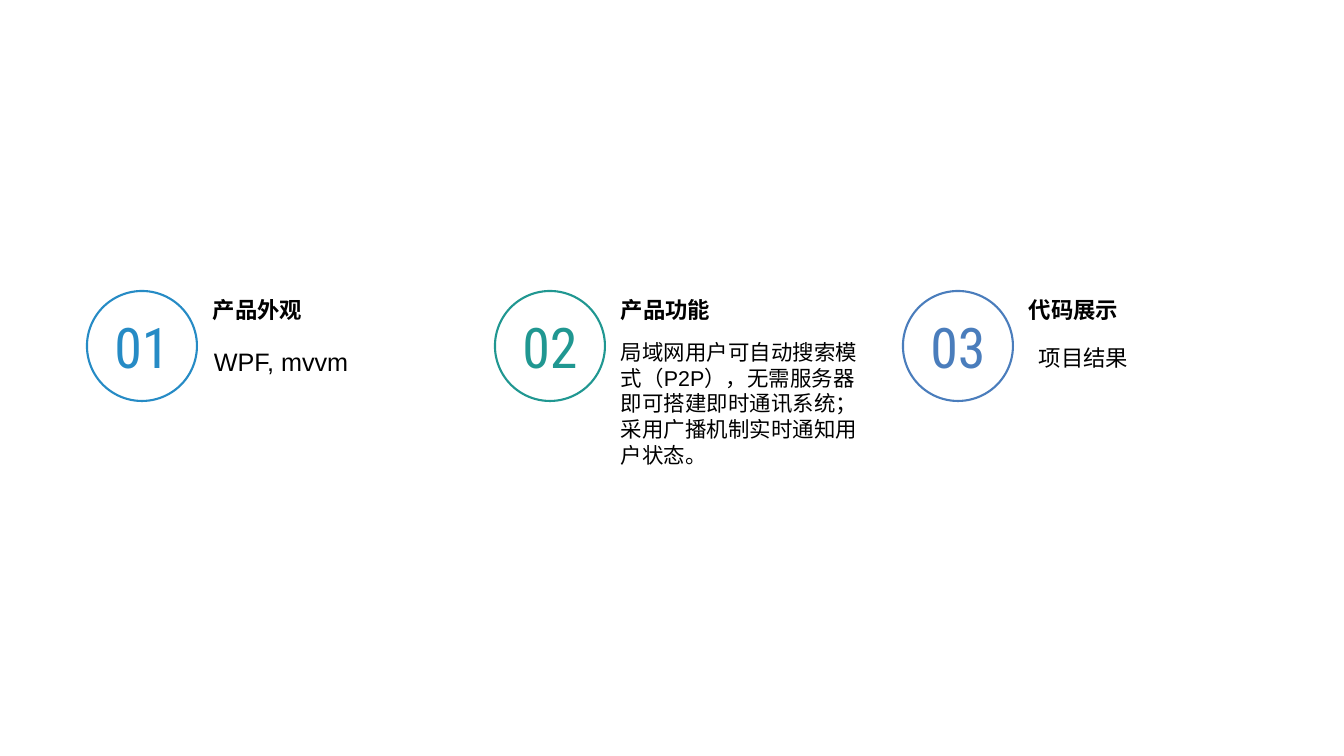
from pptx import Presentation
from pptx.dml.color import RGBColor
from pptx.enum.shapes import MSO_SHAPE as Shape
from pptx.enum.text import MSO_ANCHOR as Anchor, PP_ALIGN as Align
from pptx.util import Pt

ITEMS = [
    {"number": "01", "title": "产品外观", "body": "WPF, mvvm", "color": "268BC5",
     "size": 18, "spacing": 1.2, "box": (117, 335, 168, 87)},
    {"number": "02", "title": "产品功能",
     "body": "局域网用户可自动搜索模式（P2P），无需服务器即可搭建即时通讯系统；采用广播机制实时通知用户状态。",
     "color": "209791", "size": 15.3, "spacing": None, "box": (116, 334, 257, 147)},
    {"number": "03", "title": "代码展示", "body": "项目结果", "color": "4A7DBC",
     "size": 16, "spacing": 1.2, "box": (126, 334, 238, 68)},
]

THEME = {
    "text": "000000",
    "font": "Arial",
    "number_font": "Roboto Condensed",
    "title_size": 16,
    "number_size": 40,
    "ring_width": 1.5,
}

EMU_PER_PX = 914400 / 100.8
SLIDE_SIZE = (1344, 756)
FIRST_LEFT, TOP, PITCH = 87, 291, 408
RING = 110
TITLE_OFFSET, TITLE_WIDTH, TITLE_HEIGHT = 116, 238, 39


def px(*lengths):
    return [round(length * EMU_PER_PX) for length in lengths]


def write(shape, text, *, size, color=THEME["text"], font=THEME["font"], bold=False,
          align=Align.LEFT, anchor=Anchor.TOP, spacing=None, wrap=True):
    frame = shape.text_frame
    frame.word_wrap = wrap
    frame.vertical_anchor = anchor
    paragraph = frame.paragraphs[0]
    paragraph.alignment = align
    paragraph.line_spacing = spacing
    run = paragraph.add_run()
    run.text = text
    run.font.name = font
    run.font.size = Pt(size)
    run.font.bold = bold
    run.font.color.rgb = RGBColor.from_string(color)


def add_item(slide, left, item):
    offset, top, width, height = item["box"]
    body = slide.shapes.add_textbox(*px(left + offset, top, width, height))
    write(body, item["body"], size=item["size"], spacing=item["spacing"])

    title = slide.shapes.add_textbox(*px(left + TITLE_OFFSET, TOP, TITLE_WIDTH, TITLE_HEIGHT))
    write(title, item["title"], size=THEME["title_size"], bold=True)

    ring = slide.shapes.add_shape(Shape.OVAL, *px(left, TOP, RING, RING))
    ring.shadow.inherit = False
    ring.fill.background()
    ring.line.color.rgb = RGBColor.from_string(item["color"])
    ring.line.width = Pt(THEME["ring_width"])
    write(ring, item["number"], size=THEME["number_size"], color=item["color"],
          font=THEME["number_font"], align=Align.CENTER, anchor=Anchor.MIDDLE, wrap=False)


def main():
    presentation = Presentation()
    presentation.slide_width, presentation.slide_height = px(*SLIDE_SIZE)
    slide = presentation.slides.add_slide(presentation.slide_layouts[6])
    for index, item in enumerate(ITEMS):
        add_item(slide, FIRST_LEFT + index * PITCH, item)
    presentation.save("out.pptx")


if __name__ == "__main__":
    main()
